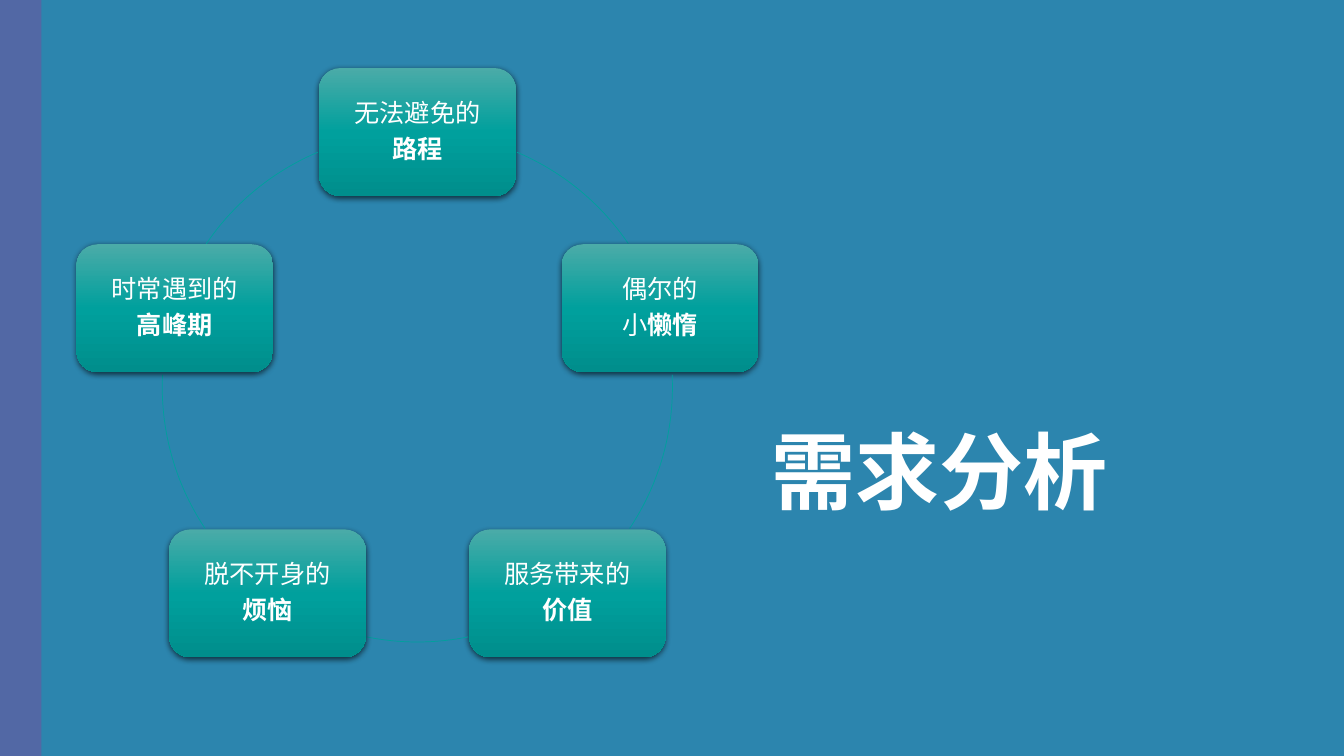
import copy
import math

import pptx
import pptx.dml.color
import pptx.enum.shapes
import pptx.enum.text
import pptx.oxml
import pptx.oxml.ns
import pptx.util
from pptx.util import Inches

RGBColor = pptx.dml.color.RGBColor
MSO_SHAPE = pptx.enum.shapes.MSO_SHAPE
MSO_ANCHOR = pptx.enum.text.MSO_ANCHOR

TITLE = "需求分析"
# Clockwise from the top; each line is a list of (text, bold)
NEEDS = [
    [[("无法避免的", False)], [("路程", True)]],
    [[("偶尔的", False)], [("小", False), ("懒惰", True)]],
    [[("服务带来的", False)], [("价值", True)]],
    [[("脱不开身的", False)], [("烦恼", True)]],
    [[("时常遇到的", False)], [("高峰期", True)]],
]
# Visible part of the ring after each need, in degrees clockwise from the top
ARCS = [(23, 55.8), (87.2, 123.7), (168.5, 191.5), (236.3, 272.8), (304.2, 337)]

BLUE = RGBColor(0x2C, 0x85, 0xAE)
PURPLE = RGBColor(0x52, 0x68, 0xA5)
WHITE = RGBColor(0xFF, 0xFF, 0xFF)
TEAL = RGBColor(0x00, 0xA0, 0x9D)
GRADIENT = [(0, RGBColor(0x4B, 0xAB, 0xA8)), (0.5, TEAL), (1, RGBColor(0x00, 0x8E, 0x8C))]

LATIN_FONT = "Calibri"
CHINESE_FONT = "Noto Sans CJK SC"
CENTER_X, CENTER_Y, RADIUS = 4.14, 3.84, 2.53
CARD_W, CARD_H = 1.95, 1.27
A_NS = pptx.oxml.ns.nsdecls("a")


def add_run(paragraph, text, bold):
    run = paragraph.add_run()
    run.text = text
    run.font.bold = bold
    run.font._element.append(
        pptx.oxml.parse_xml(f'<a:ea {A_NS} typeface="{CHINESE_FONT}"/>'))


def style(paragraph, size, font_name):
    paragraph.font.size = pptx.util.Pt(size)
    paragraph.font.name = font_name
    paragraph.font.color.rgb = WHITE


def fill_gradient(card):
    card.fill.gradient()
    card.fill.gradient_angle = 270
    stops = card._element.spPr.find(".//" + pptx.oxml.ns.qn("a:gsLst"))
    stops.append(copy.deepcopy(stops[0]))
    for stop, (position, color) in zip(card.fill.gradient_stops, GRADIENT):
        stop.position = position
        stop.color.rgb = color


def add_shadow(card):
    card._element.spPr.append(pptx.oxml.parse_xml(
        f'<a:effectLst {A_NS}><a:outerShdw blurRad="57150" dist="19050" dir="5400000" '
        'algn="ctr" rotWithShape="0"><a:srgbClr val="000000"><a:alpha val="63000"/>'
        '</a:srgbClr></a:outerShdw></a:effectLst>'))


def add_card(slide, lines, degrees):
    angle = math.radians(degrees)
    card = slide.shapes.add_shape(
        MSO_SHAPE.ROUNDED_RECTANGLE,
        Inches(CENTER_X + RADIUS * math.sin(angle) - CARD_W / 2),
        Inches(CENTER_Y - RADIUS * math.cos(angle) - CARD_H / 2),
        Inches(CARD_W), Inches(CARD_H))
    fill_gradient(card)
    card.line.fill.background()
    add_shadow(card)
    frame = card.text_frame
    frame.word_wrap = True
    frame.vertical_anchor = MSO_ANCHOR.MIDDLE
    frame.margin_left = frame.margin_right = Inches(0.07)
    frame.margin_top = frame.margin_bottom = Inches(0.07)
    for index, line in enumerate(lines):
        paragraph = frame.add_paragraph() if index else frame.paragraphs[0]
        paragraph.alignment = pptx.enum.text.PP_ALIGN.CENTER
        paragraph.line_spacing = 0.9
        paragraph._p.get_or_add_pPr().append(pptx.oxml.parse_xml(
            f'<a:spcAft {A_NS}><a:spcPct val="35000"/></a:spcAft>'))
        style(paragraph, 18, LATIN_FONT)
        for text, bold in line:
            add_run(paragraph, text, bold)


def add_arc(slide, start, end):
    arc = slide.shapes.add_shape(
        MSO_SHAPE.ARC, Inches(CENTER_X - RADIUS), Inches(CENTER_Y - RADIUS),
        Inches(2 * RADIUS), Inches(2 * RADIUS))
    for index, degrees in enumerate((start, end)):
        # Preset angles run from three o'clock in 1/60000 degree; python-pptx scales by 100000
        arc.adjustments[index] = (degrees - 90) % 360 * 0.6
    arc.fill.background()
    arc.line.color.rgb = TEAL
    arc.line.width = pptx.util.Pt(0.5)
    arc.shadow.inherit = False


def add_title(slide):
    frame = slide.shapes.add_textbox(
        Inches(7.55), Inches(1.65), Inches(5.45), Inches(3.57)).text_frame
    frame.word_wrap = True
    frame.vertical_anchor = MSO_ANCHOR.BOTTOM
    paragraph = frame.paragraphs[0]
    paragraph.line_spacing = 0.9
    style(paragraph, 60, CHINESE_FONT)
    add_run(paragraph, TITLE, True)


def main():
    deck = pptx.Presentation()
    deck.slide_width, deck.slide_height = Inches(13.33), Inches(7.5)
    slide = deck.slides.add_slide(deck.slide_layouts[6])
    slide.background.fill.solid()
    slide.background.fill.fore_color.rgb = BLUE

    side_band = slide.shapes.add_shape(MSO_SHAPE.RECTANGLE, 0, 0, Inches(0.41), Inches(7.5))
    side_band.fill.solid()
    side_band.fill.fore_color.rgb = PURPLE
    side_band.line.fill.background()
    side_band.shadow.inherit = False

    add_title(slide)
    for index, (lines, arc) in enumerate(zip(NEEDS, ARCS)):
        add_card(slide, lines, index * 360 / len(NEEDS))
        add_arc(slide, *arc)
    deck.save("out.pptx")


if __name__ == "__main__":
    main()
